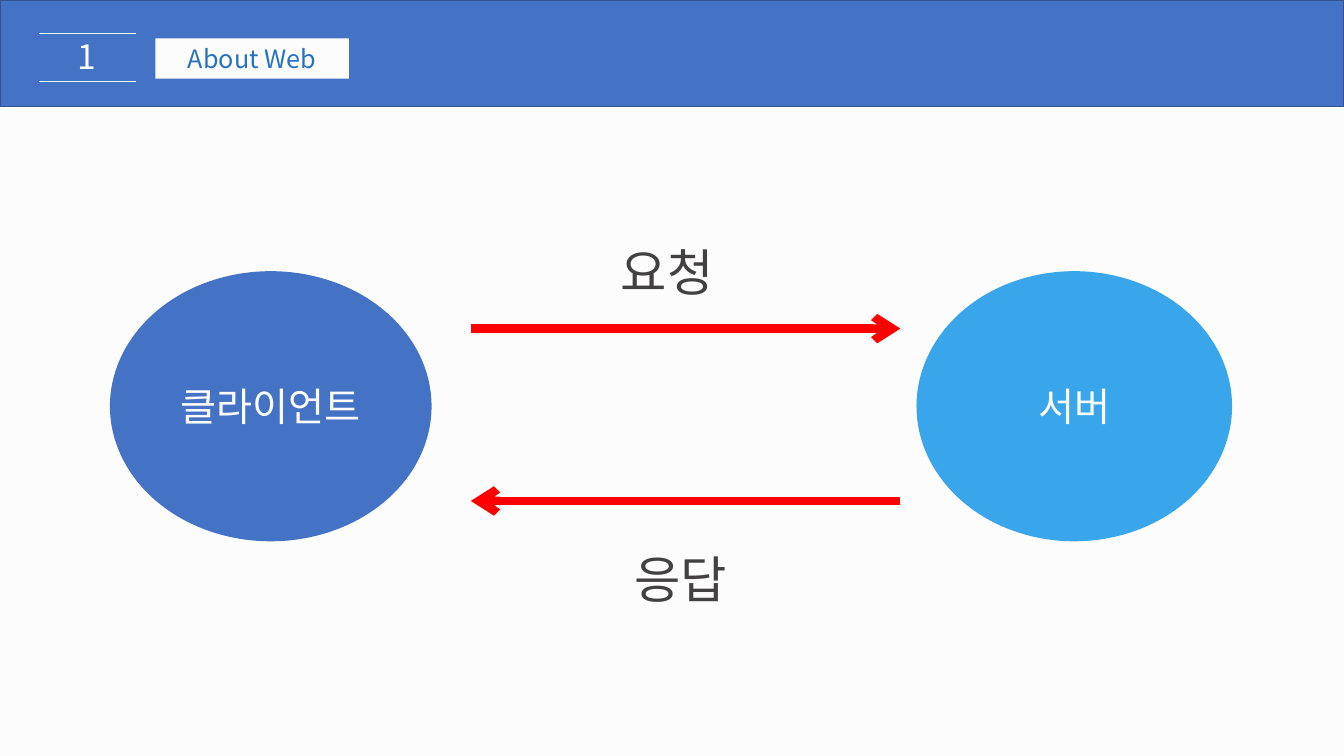
from lxml import etree
from pptx import Presentation
from pptx.dml.color import RGBColor
from pptx.enum.shapes import MSO_CONNECTOR, MSO_SHAPE
from pptx.enum.text import MSO_ANCHOR, PP_ALIGN
from pptx.oxml.ns import qn
from pptx.util import Inches, Pt

FONT = "Noto Sans CJK KR"
PAPER = "FCFCFC"
BLUE = "4472C4"
SKY = "39A5EA"
RED = "FF0000"
INK = "424040"


def color(value):
    return RGBColor.from_string(value)


def write(shape, text, size, ink, align=PP_ALIGN.CENTER, anchor=MSO_ANCHOR.MIDDLE, spacing=0):
    """Put one styled paragraph in a shape; spacing is in points."""
    frame = shape.text_frame
    frame.word_wrap = True
    frame.vertical_anchor = anchor
    paragraph = frame.paragraphs[0]
    paragraph.text = text
    paragraph.alignment = align
    font = paragraph.font
    font.size = Pt(size)
    font.color.rgb = color(ink)
    font.name = FONT
    properties = paragraph._p.pPr.find(qn("a:defRPr"))
    etree.SubElement(properties, qn("a:ea"), typeface=FONT)
    if spacing:
        properties.set("spc", str(spacing * 100))


def add_block(slide, kind, box, fill, outline=None):
    block = slide.shapes.add_shape(kind, *map(Inches, box))
    block.shadow.inherit = False
    block.fill.solid()
    block.fill.fore_color.rgb = color(fill)
    if outline:
        block.line.color.rgb = color(outline)
        block.line.width = Pt(1)
    else:
        block.line.fill.background()
    return block


def add_label(slide, box, text, size, ink, **style):
    label = slide.shapes.add_textbox(*map(Inches, box))
    write(label, text, size, ink, anchor=MSO_ANCHOR.TOP, **style)


def add_level_line(slide, start, end, y, ink, width, arrow=False):
    line = slide.shapes.add_connector(
        MSO_CONNECTOR.STRAIGHT, Inches(start), Inches(y), Inches(end), Inches(y))
    line.line.color.rgb = color(ink)
    line.line.width = Pt(width)
    if arrow:
        etree.SubElement(line.line._get_or_add_ln(), qn("a:tailEnd"), type="arrow")
    etree.SubElement(line._element.spPr, qn("a:effectLst"))


def add_header(slide, number, title):
    add_block(slide, MSO_SHAPE.RECTANGLE, (0, 0, 13.33, 1.06), BLUE, "325491")
    add_label(slide, (0.65, 0.31, 0.43, 0.5), number, 24, PAPER, spacing=3)
    for y in (0.33, 0.81):
        add_level_line(slide, 0.39, 1.35, y, PAPER, 0.25)
    title_box = add_block(slide, MSO_SHAPE.RECTANGLE, (1.54, 0.38, 1.92, 0.4), PAPER)
    write(title_box, title, 18, "2771C3")


def main():
    prs = Presentation()
    prs.slide_width, prs.slide_height = Inches(13.33), Inches(7.5)
    slide = prs.slides.add_slide(prs.slide_layouts[6])
    slide.background.fill.solid()
    slide.background.fill.fore_color.rgb = color(PAPER)

    add_header(slide, "1", "About Web")

    for name, left, width, fill in (("클라이언트", 1.09, 3.19, BLUE), ("서버", 9.09, 3.13, SKY)):
        party = add_block(slide, MSO_SHAPE.OVAL, (left, 2.69, width, 2.68), fill)
        write(party, name, 28, PAPER)

    client_side, server_side = 4.67, 8.93
    messages = (
        ("요청", 6.06, 2.34, client_side, server_side, 3.26),
        ("응답", 6.19, 5.39, server_side, client_side, 4.97),
    )
    for text, left, top, start, end, y in messages:
        add_level_line(slide, start, end, y, RED, 6, arrow=True)
        add_label(slide, (left, top, 1.81, 0.71), text, 36, INK, align=PP_ALIGN.LEFT)

    prs.save("out.pptx")


if __name__ == "__main__":
    main()
